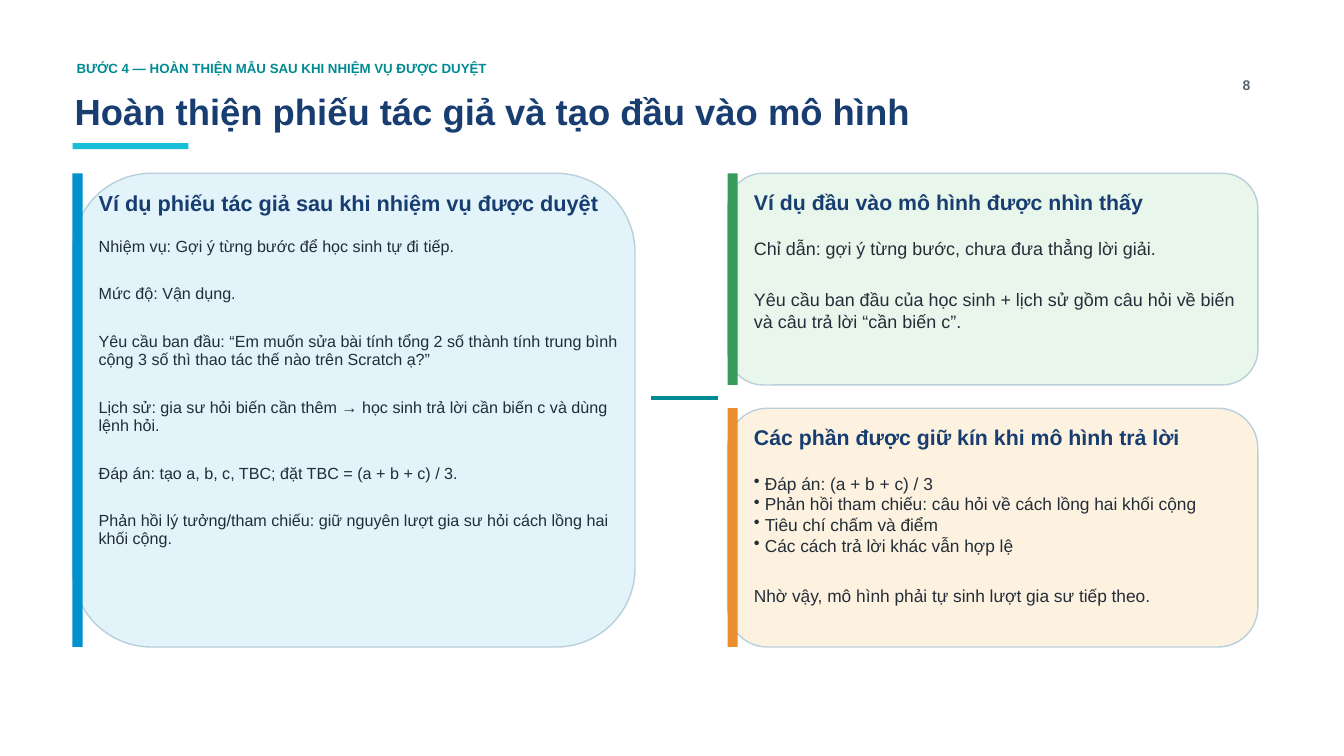
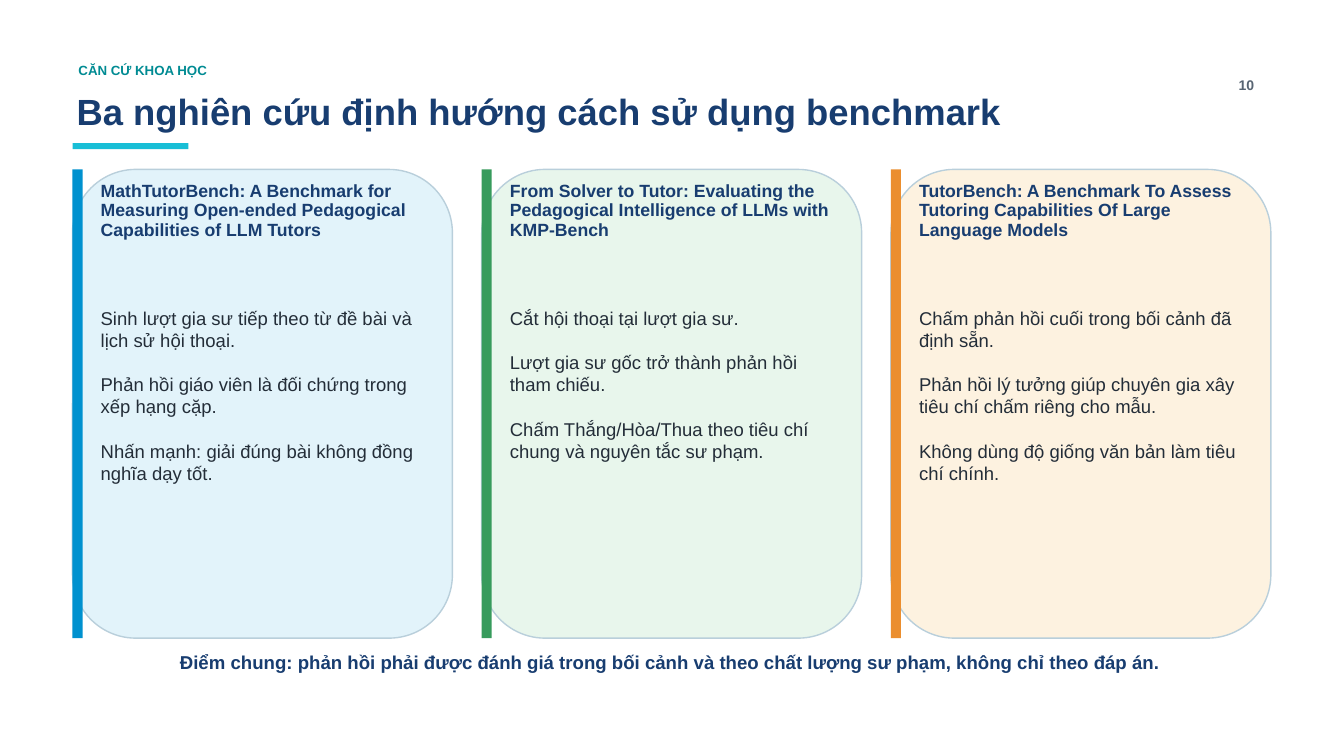
from dataclasses import dataclass

from lxml.etree import SubElement
from pptx import Presentation
from pptx.dml.color import RGBColor
from pptx.enum.shapes import MSO_CONNECTOR, MSO_SHAPE
from pptx.enum.text import MSO_ANCHOR, MSO_AUTO_SIZE, PP_ALIGN
from pptx.oxml.ns import qn
from pptx.util import Pt


# Theme shared by both slides
@dataclass(frozen=True)
class Theme:
    font: str = "Arial"
    navy: str = "183D70"
    teal: str = "008B93"
    cyan: str = "18BED6"
    ink: str = "232D38"
    grey: str = "586573"
    outline: str = "B9CFDB"
    blue: tuple = ("E2F3FA", "0091CF")  # card fill, accent bar
    green: tuple = ("E8F6EC", "379B5C")
    orange: tuple = ("FDF2E0", "EB8E2E")
    tag_size: float = 9.5
    title_size: float = 26
    number_size: float = 10
    takeaway_size: float = 13.3
    left: float = 51.8
    bar: float = 7.2
    indent: float = 15.8
    text_trim: float = 24.8
    narrow: tuple = (2.88, 2.88)  # side inset, top and bottom inset
    wide: tuple = (4.32, 4.32)
    flat: tuple = (4.32, 1.44)


THEME = Theme()


@dataclass(frozen=True)
class CardStyle:
    insets: tuple
    heading_top: float
    heading_height: float
    body_top: float
    body_bottom: float
    gap: float
    heading_spacing: float = None


# Content: a list inside a body is a bulleted group
EXAMPLE_HEAD = ("BƯỚC 4 — HOÀN THIỆN MẪU SAU KHI NHIỆM VỤ ĐƯỢC DUYỆT",
                "Hoàn thiện phiếu tác giả và tạo đầu vào mô hình", "8")
FORM = ("Ví dụ phiếu tác giả sau khi nhiệm vụ được duyệt", [
    "Nhiệm vụ: Gợi ý từng bước để học sinh tự đi tiếp.",
    "Mức độ: Vận dụng.",
    "Yêu cầu ban đầu: “Em muốn sửa bài tính tổng 2 số thành tính trung bình cộng 3 số "
    "thì thao tác thế nào trên Scratch ạ?”",
    "Lịch sử: gia sư hỏi biến cần thêm → học sinh trả lời cần biến c và dùng lệnh hỏi.",
    "Đáp án: tạo a, b, c, TBC; đặt TBC = (a + b + c) / 3.",
    "Phản hồi lý tưởng/tham chiếu: giữ nguyên lượt gia sư hỏi cách lồng hai khối cộng.",
])
VISIBLE = ("Ví dụ đầu vào mô hình được nhìn thấy", [
    "Chỉ dẫn: gợi ý từng bước, chưa đưa thẳng lời giải.",
    "Yêu cầu ban đầu của học sinh + lịch sử gồm câu hỏi về biến và câu trả lời “cần biến c”.",
])
HIDDEN = ("Các phần được giữ kín khi mô hình trả lời", [
    ["Đáp án: (a + b + c) / 3",
     "Phản hồi tham chiếu: câu hỏi về cách lồng hai khối cộng",
     "Tiêu chí chấm và điểm",
     "Các cách trả lời khác vẫn hợp lệ"],
    "Nhờ vậy, mô hình phải tự sinh lượt gia sư tiếp theo.",
])
STUDIES_HEAD = ("CĂN CỨ KHOA HỌC", "Ba nghiên cứu định hướng cách sử dụng benchmark", "10")
STUDIES = [
    ("MathTutorBench: A Benchmark for Measuring Open-ended Pedagogical Capabilities "
     "of LLM Tutors", [
         "Sinh lượt gia sư tiếp theo từ đề bài và lịch sử hội thoại.",
         "Phản hồi giáo viên là đối chứng trong xếp hạng cặp.",
         "Nhấn mạnh: giải đúng bài không đồng nghĩa dạy tốt."]),
    ("From Solver to Tutor: Evaluating the Pedagogical Intelligence of LLMs with KMP-Bench", [
        "Cắt hội thoại tại lượt gia sư.",
        "Lượt gia sư gốc trở thành phản hồi tham chiếu.",
        "Chấm Thắng/Hòa/Thua theo tiêu chí chung và nguyên tắc sư phạm."]),
    ("TutorBench: A Benchmark To Assess Tutoring Capabilities Of Large Language Models", [
        "Chấm phản hồi cuối trong bối cảnh đã định sẵn.",
        "Phản hồi lý tưởng giúp chuyên gia xây tiêu chí chấm riêng cho mẫu.",
        "Không dùng độ giống văn bản làm tiêu chí chính."]),
]
TAKEAWAY = ("Điểm chung: phản hồi phải được đánh giá trong bối cảnh và theo chất lượng sư phạm, "
            "không chỉ theo đáp án.")


# Drawing helpers
def color(value):
    return RGBColor.from_string(value)


def add_block(page, area, fill, outline=None, kind=MSO_SHAPE.RECTANGLE):
    block = page.shapes.add_shape(kind, *map(Pt, area))
    block.shadow.inherit = False
    block.fill.solid()
    block.fill.fore_color.rgb = color(fill)
    if outline:
        block.line.color.rgb = color(outline)
        block.line.width = Pt(1)
    else:
        block.line.fill.background()


def add_bullet(para, size):
    hang = Pt(round(size * 0.63, 1))
    properties = para._p.get_or_add_pPr()
    properties.set("marL", str(hang))
    properties.set("indent", str(-hang))
    SubElement(properties, qn("a:buChar")).set("char", "•")


def add_text(page, area, content, size, ink, insets, bold=False, align=PP_ALIGN.LEFT,
             anchor=MSO_ANCHOR.TOP, gap=0, spacing=None):
    box = page.shapes.add_textbox(*map(Pt, area))
    frame = box.text_frame
    frame.word_wrap = True
    frame.auto_size = MSO_AUTO_SIZE.SHAPE_TO_FIT_TEXT
    frame.vertical_anchor = anchor
    frame.margin_left = frame.margin_right = Pt(insets[0])
    frame.margin_top = frame.margin_bottom = Pt(insets[1])
    para = None
    for group in content:
        bulleted = isinstance(group, list)
        for position, line in enumerate(group if bulleted else [group]):
            first = para is None
            para = frame.paragraphs[0] if first else frame.add_paragraph()
            para.text = line
            para.alignment = align
            if spacing:
                para.line_spacing = spacing
            if not first and position == 0:
                para.space_before = Pt(gap)
            if bulleted:
                add_bullet(para, size)
            for span in para.runs:
                span.font.name = THEME.font
                span.font.size = Pt(size)
                span.font.bold = bold
                span.font.color.rgb = color(ink)


def add_card(page, area, palette, content, style, heading_size, body_size, body_spacing=None):
    left, top, width, height = area
    fill, accent = palette
    heading, body = content
    add_block(page, area, fill, THEME.outline, MSO_SHAPE.ROUNDED_RECTANGLE)
    add_block(page, (left, top, THEME.bar, height), accent)
    text_left, text_width = left + THEME.indent, width - THEME.text_trim
    add_text(page, (text_left, top + style.heading_top, text_width, style.heading_height),
             [heading], heading_size, THEME.navy, style.insets, bold=True,
             spacing=style.heading_spacing)
    body_height = height - style.body_top - style.body_bottom
    add_text(page, (text_left, top + style.body_top, text_width, body_height), body,
             body_size, THEME.ink, style.insets, gap=style.gap, spacing=body_spacing)


def add_page(deck, head, insets):
    page = deck.slides.add_slide(deck.slide_layouts[6])
    tag, title, number = head
    add_text(page, (THEME.left, 40.3, 626.4, 20.2), [tag], THEME.tag_size, THEME.teal,
             insets, bold=True)
    add_text(page, (50.4, 59, 824.4, 40.3), [title], THEME.title_size, THEME.navy,
             insets, bold=True, anchor=MSO_ANCHOR.MIDDLE)
    add_block(page, (THEME.left, 102.2, 82.8, 4.3), THEME.cyan)
    add_text(page, (874.8, 50.4, 31, 20.2), [number], THEME.number_size, THEME.grey,
             THEME.wide, bold=True, align=PP_ALIGN.CENTER)
    return page


# Slides
def build_example(deck):
    page = add_page(deck, EXAMPLE_HEAD, THEME.narrow)
    style = CardStyle(THEME.narrow, heading_top=8.6, heading_height=30.2,
                      body_top=43.2, body_bottom=8.6, gap=21)
    top, height, right, right_width = 123.8, 338.4, 519.8, 378.7
    upper, gutter = 151.2, 16.6
    lower = height - upper - gutter
    add_card(page, (THEME.left, top, 401.8, height), THEME.blue, FORM, style, 15.5, 11.5, 0.94)

    link = page.shapes.add_connector(MSO_CONNECTOR.STRAIGHT,
                                     Pt(465.1), Pt(284.4), Pt(512.6), Pt(284.4))
    link.line.color.rgb = color(THEME.teal)
    link.line.width = Pt(2.8)
    SubElement(link._element.spPr, qn("a:effectLst"))

    add_card(page, (right, top, right_width, upper), THEME.green, VISIBLE, style, 15.2, 12.8)
    add_card(page, (right, top + upper + gutter, right_width, lower), THEME.orange, HIDDEN,
             style, 15.2, 12.4)


def build_studies(deck):
    page = add_page(deck, STUDIES_HEAD, THEME.wide)
    style = CardStyle(THEME.flat, heading_top=7.2, heading_height=80.6,
                      body_top=96.5, body_bottom=16.5, gap=15.9, heading_spacing=0.93)
    width, gutter = 271.4, 20.9
    palettes = (THEME.blue, THEME.green, THEME.orange)
    for column, (palette, study) in enumerate(zip(palettes, STUDIES)):
        left = THEME.left + column * (width + gutter)
        add_card(page, (left, 121, width, 334.8), palette, study, style, 12.6, 13.2)
    add_text(page, (75.6, 460.8, 806.4, 21.6), [TAKEAWAY], THEME.takeaway_size, THEME.navy,
             THEME.wide, bold=True, align=PP_ALIGN.CENTER)


def main():
    deck = Presentation()
    deck.slide_width, deck.slide_height = Pt(960), Pt(540)
    build_example(deck)
    build_studies(deck)
    deck.save("out.pptx")


if __name__ == "__main__":
    main()
